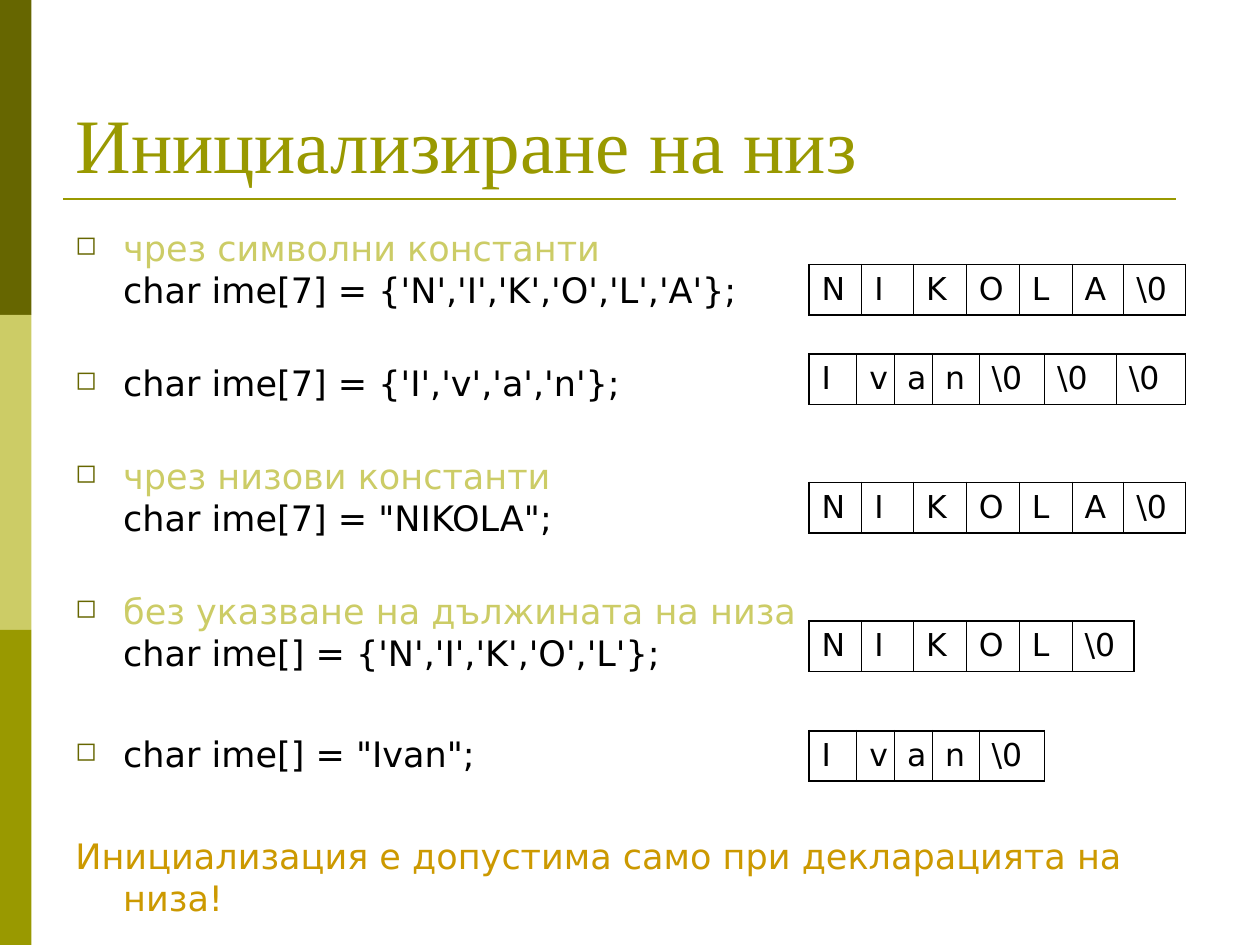
from dataclasses import dataclass

from lxml import etree
from pptx import Presentation
from pptx.dml.color import RGBColor
from pptx.enum import shapes, text
from pptx.oxml import ns
from pptx.util import Inches, Pt

OLIVE = RGBColor(0x99, 0x99, 0x00)
DARK_OLIVE = RGBColor(0x66, 0x66, 0x00)
PALE_OLIVE = RGBColor(0xCC, 0xCC, 0x66)
AMBER = RGBColor(0xCC, 0x99, 0x00)
BLACK = RGBColor(0, 0, 0)

BODY_FONT = "DejaVu Sans"
BODY_FORMAT = {"name": BODY_FONT, "size": Pt(20)}
CELL_FORMAT = {"name": BODY_FONT, "size": Pt(18)}
TITLE_FORMAT = {"name": "Times New Roman", "size": Pt(44)}

THIN, THICK = Pt(0.45), Pt(1.08)
ARRAY_LEFT, ROW_HEIGHT = 6.42, 0.4
NIKOLA_WIDTHS = (0.42, 0.41, 0.42, 0.42, 0.42, 0.41, 0.49)
IVAN_WIDTHS = (0.38, 0.3, 0.3, 0.37, 0.52, 0.57, 0.55)


@dataclass(frozen=True)
class Item:
    code: str
    heading: str = ""
    space_before: float = 29
    color: RGBColor = BLACK
    bullet: bool = True


@dataclass(frozen=True)
class CharArray:
    top: float
    chars: tuple[str, ...]
    widths: tuple[float, ...]


ITEMS = (
    Item("char ime[7] = {'N','I','K','O','L','A'};", "чрез символни константи", 0),
    Item("char ime[7] = {'I','v','a','n'};"),
    Item('char ime[7] = "NIKOLA";', "чрез низови константи"),
    Item("char ime[] = {'N','I','K','O','L'};", "без указване на дължината на низа"),
    Item('char ime[] = "Ivan";', space_before=34),
    Item("Инициализация е допустима само при декларацията на низа!",
         space_before=34, color=AMBER, bullet=False),
)

END = "\\0"
ARRAYS = (
    CharArray(2.1, (*"NIKOLA", END), NIKOLA_WIDTHS),
    CharArray(2.81, (*"Ivan", END, END, END), IVAN_WIDTHS),
    CharArray(3.83, (*"NIKOLA", END), NIKOLA_WIDTHS),
    CharArray(4.93, (*"NIKOL", END), NIKOLA_WIDTHS[:5] + NIKOLA_WIDTHS[-1:]),
    CharArray(5.8, (*"Ivan", END), IVAN_WIDTHS[:5]),
)


def format_font(font, values: dict, color: RGBColor) -> None:
    for name, value in values.items():
        setattr(font, name, value)
    font.color.rgb = color


def add_run(paragraph, words: str, values: dict, color: RGBColor) -> None:
    run = paragraph.add_run()
    run.text = words
    format_font(run.font, values, color)


def add_bar(slide, top: float, color: RGBColor) -> None:
    bar = slide.shapes.add_shape(shapes.MSO_SHAPE.RECTANGLE, Inches(0),
                                 Inches(top), Inches(0.25), Inches(2.5))
    bar.shadow.inherit = False
    bar.fill.solid()
    bar.fill.fore_color.rgb = color
    bar.line.fill.background()


def add_title_rule(slide) -> None:
    y = Inches(1.58)
    rule = slide.shapes.add_connector(shapes.MSO_CONNECTOR.STRAIGHT,
                                      Inches(0.5), y, Inches(9.33), y)
    rule.line.color.rgb = OLIVE
    rule.line.width = Pt(1.5)
    etree.SubElement(rule._element.spPr, ns.qn("a:effectLst"))


def add_bullet(properties) -> None:
    color = etree.SubElement(properties, ns.qn("a:buClr"))
    etree.SubElement(color, ns.qn("a:srgbClr"), val=str(DARK_OLIVE))
    etree.SubElement(properties, ns.qn("a:buSzPct"), val="75000")
    etree.SubElement(properties, ns.qn("a:buChar"), char="◻")


def add_item(paragraph, item: Item) -> None:
    properties = paragraph._p.get_or_add_pPr()
    properties.set("marL", str(Inches(0.38)))
    properties.set("indent", str(Inches(-0.38)))
    if item.bullet:
        add_bullet(properties)
    paragraph.line_spacing = Pt(24)
    paragraph.space_before = Pt(item.space_before)
    if item.heading:
        add_run(paragraph, item.heading, BODY_FORMAT, PALE_OLIVE)
        paragraph.add_line_break()
    add_run(paragraph, item.code, BODY_FORMAT, item.color)


def set_borders(cell, first: bool, last: bool) -> None:
    widths = {"lnL": THICK if first else THIN, "lnR": THICK if last else THIN,
              "lnT": THICK, "lnB": THICK}
    properties = cell._tc.get_or_add_tcPr()
    for position, (side, width) in enumerate(widths.items()):
        line = etree.Element(ns.qn(f"a:{side}"), w=str(width))
        fill = etree.SubElement(line, ns.qn("a:solidFill"))
        etree.SubElement(fill, ns.qn("a:srgbClr"), val=str(BLACK))
        properties.insert(position, line)


def add_array(slide, array: CharArray) -> None:
    count = len(array.chars)
    table = slide.shapes.add_table(
        1, count, Inches(ARRAY_LEFT), Inches(array.top),
        Inches(sum(array.widths)), Inches(ROW_HEIGHT)).table
    table.first_row = table.horz_banding = False
    for index, (char, width) in enumerate(zip(array.chars, array.widths)):
        table.columns[index].width = Inches(width)
        cell = table.cell(0, index)
        cell.fill.background()
        set_borders(cell, index == 0, index == count - 1)
        add_run(cell.text_frame.paragraphs[0], char, CELL_FORMAT, BLACK)


def main() -> None:
    prs = Presentation()
    prs.slide_width, prs.slide_height = Inches(10), Inches(7.5)
    slide = prs.slides.add_slide(prs.slide_layouts[5])

    # Side bars and the rule under the title
    for index, color in enumerate((DARK_OLIVE, PALE_OLIVE, OLIVE)):
        add_bar(slide, 2.5 * index, color)
    add_title_rule(slide)

    # Title
    title = slide.shapes.title
    title.left, title.top = Inches(0.5), Inches(0.3)
    title.width, title.height = Inches(9), Inches(1.25)
    title.text_frame.vertical_anchor = text.MSO_ANCHOR.BOTTOM
    heading = title.text_frame.paragraphs[0]
    heading.alignment = text.PP_ALIGN.LEFT
    add_run(heading, "Инициализиране на низ", TITLE_FORMAT, OLIVE)

    # Ways to initialise a string
    body = slide.shapes.add_textbox(Inches(0.5), Inches(1.75),
                                    Inches(9.3), Inches(5.31)).text_frame
    body.word_wrap = True
    for index, item in enumerate(ITEMS):
        add_item(body.add_paragraph() if index else body.paragraphs[0], item)

    # Memory contents of each array
    for array in ARRAYS:
        add_array(slide, array)

    prs.save("out.pptx")


if __name__ == "__main__":
    main()
